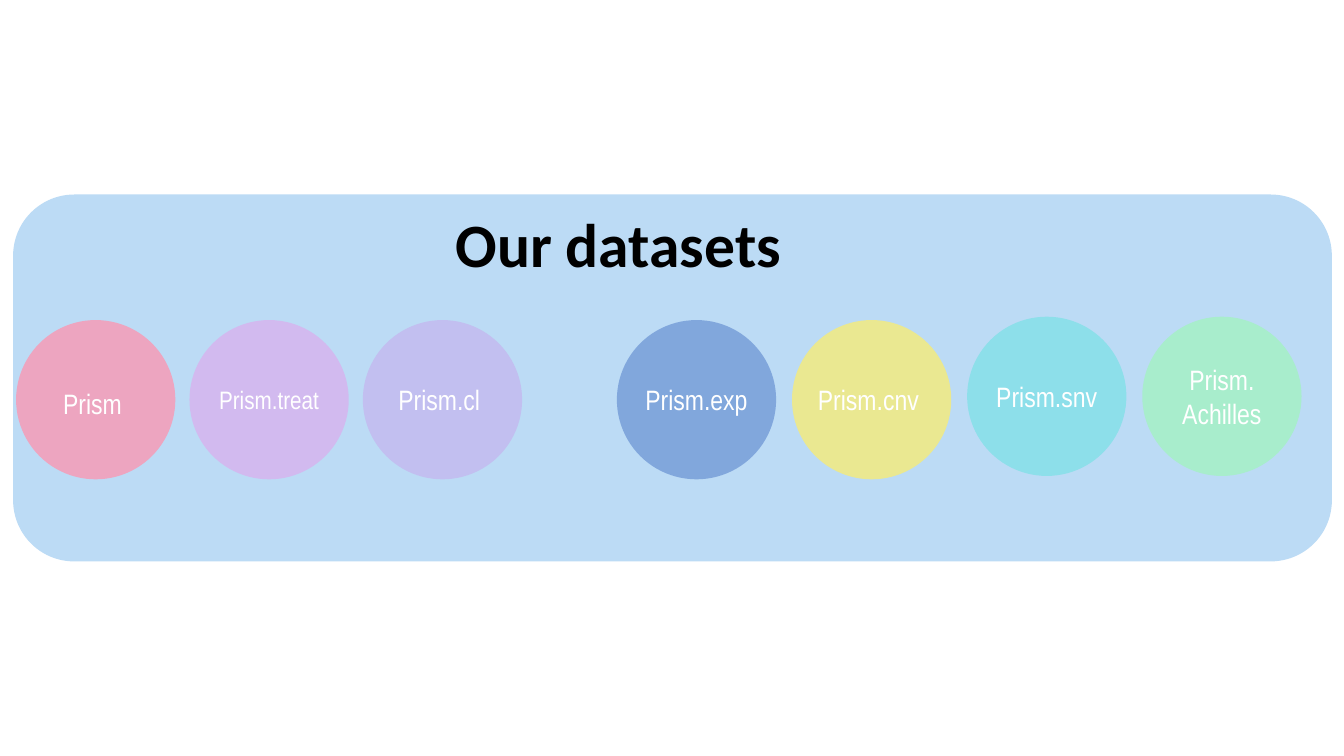
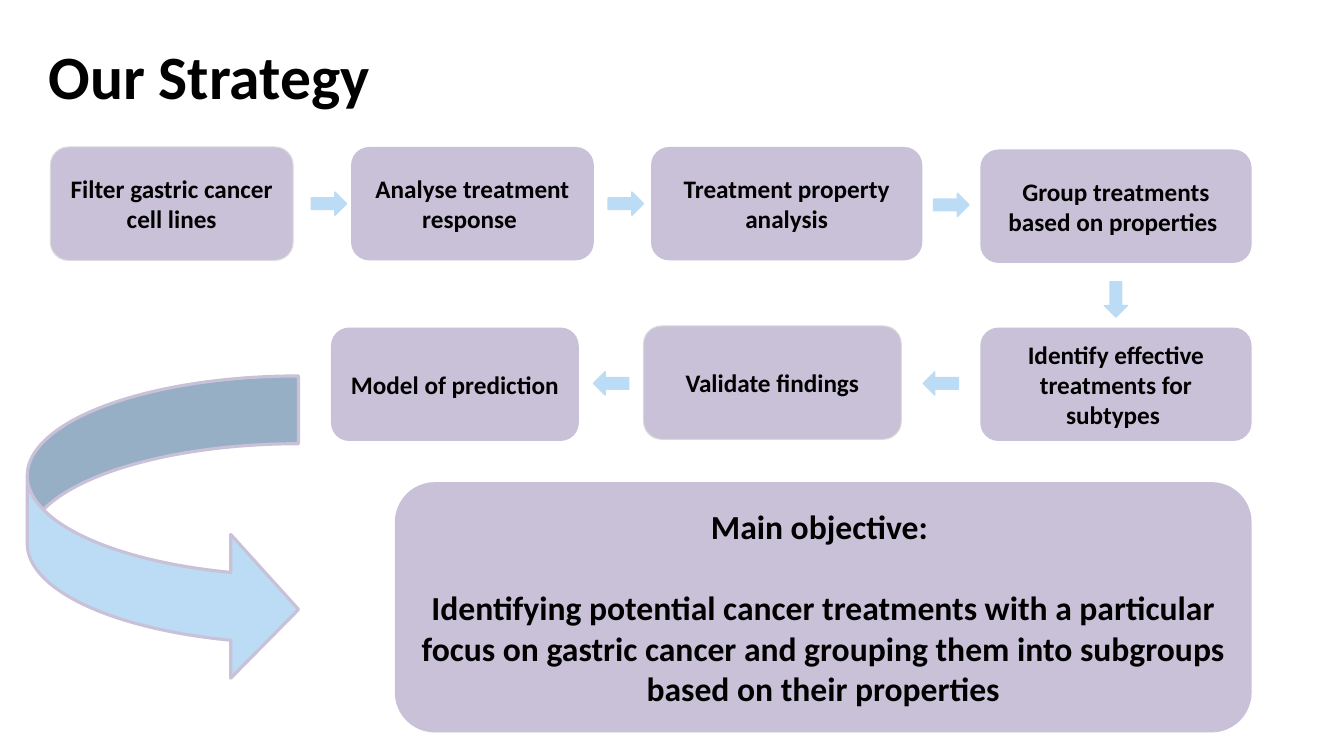
from lxml import etree
from pptx import Presentation
from pptx import util as u
from pptx.dml.color import RGBColor
from pptx.enum import shapes, text
from pptx.oxml.ns import qn

PRESET = shapes.MSO_SHAPE
COLOURS = {
    "ink": "000000", "paper": "FFFFFF", "sky": "BCDBF5", "lilac": "C9C1D7",
    "edge": "DBDBDB", "pink": "EDA5C0", "mauve": "D2BAEF", "periwinkle": "C2BFF0",
    "blue": "4472C4", "yellow": "EAE891", "aqua": "8DDFEA", "mint": "A8EDCC",
}
COLUMNS, ROWS = 160, 90
PADDING = 1.56


class Deck:
    """Holds the style and the current slide, measured on a 160 by 90 grid."""

    def __init__(self):
        self.show = Presentation()
        self.show.slide_width, self.show.slide_height = u.Inches(13.33), u.Inches(7.5)
        self.cell_width = self.show.slide_width / COLUMNS
        self.cell_height = self.show.slide_height / ROWS
        self.slide = None

    def new_slide(self):
        self.slide = self.show.slides.add_slide(self.show.slide_layouts[6])

    def place(self, column, row, width, height):
        return (round(column * self.cell_width), round(row * self.cell_height),
                round(width * self.cell_width), round(height * self.cell_height))

    def colour(self, name):
        return RGBColor.from_string(COLOURS[name])

    def put_text(self, holder, *lines, size=18, font="Calibri", bold=True, colour="ink",
                 align="CENTER", anchor="MIDDLE", padding=PADDING, drop=0, gap=0, spacing=None):
        frame = holder.text_frame
        frame.word_wrap = True
        frame.vertical_anchor = getattr(text.MSO_ANCHOR, anchor)
        frame.margin_left = frame.margin_right = round(padding * self.cell_width)
        frame.margin_bottom = round(padding * self.cell_height)
        frame.margin_top = round((padding + drop) * self.cell_height)
        for index, line in enumerate(lines):
            paragraph = frame.paragraphs[0] if index == 0 else frame.add_paragraph()
            paragraph.alignment = getattr(text.PP_ALIGN, align)
            if spacing:
                paragraph.line_spacing = spacing
            if index and gap:
                paragraph.space_before = u.Pt(gap)
            run = paragraph.add_run()
            run.text = line
            run.font.name, run.font.size, run.font.bold = font, u.Pt(size), bold
            run.font.color.rgb = self.colour(colour)

    def title(self, words, area, align="CENTER"):
        heading = self.slide.shapes.add_textbox(*self.place(*area))
        self.put_text(heading, words, size=44, align=align, anchor="BOTTOM", spacing=0.9)

    def figure(self, preset, area, fill, line=None, weight=1, opacity=None):
        figure = self.slide.shapes.add_shape(preset, *self.place(*area))
        figure.shadow.inherit = False
        figure.fill.solid()
        figure.fill.fore_color.rgb = self.colour(fill)
        if opacity:
            tint = figure.element.spPr.find(qn("a:solidFill"))[0]
            etree.SubElement(tint, qn("a:alpha")).set("val", str(opacity * 1000))
        if line:
            figure.line.color.rgb = self.colour(line)
            figure.line.width = u.Pt(weight)
        else:
            figure.line.fill.background()
        return figure

    def circle(self, words, column, row, fill, size=20, opacity=None, drop=0):
        disc = self.figure(PRESET.OVAL, (column, row, 18.96, 18.96), fill, opacity=opacity)
        self.put_text(disc, words, size=size, font="Arial Narrow", bold=False,
                      colour="paper", padding=0, drop=drop)

    def card(self, area, *lines, line=None, size=18, gap=0):
        card = self.figure(PRESET.ROUNDED_RECTANGLE, area, "lilac", line, 0.75)
        card.adjustments[0] = 0.16
        self.put_text(card, *lines, size=size, gap=gap)

    def arrow(self, preset, column, row, width=4.2, height=2.76):
        area = (column - width / 2, row - height / 2, width, height)
        self.figure(preset, area, "sky", "sky")


def datasets_slide(deck):
    deck.new_slide()
    deck.figure(PRESET.ROUNDED_RECTANGLE, (1.56, 23.16, 157, 43.68), "sky")
    deck.title("Our datasets ", (27.84, 24.48, 93.24, 10.56))
    screens = [
        ("Prism ", 38.1, "pink", {"drop": 0.9}),
        ("Prism.treat", 38.1, "mauve", {"size": 18}),
        ("Prism.cl ", 38.1, "periwinkle", {}),
    ]
    omics = [
        ("Prism.exp", 38.1, "blue", {"opacity": 49}),
        ("Prism.cnv ", 38.1, "yellow", {}),
        ("Prism.snv", 37.7, "aqua", {}),
        ("Prism. Achilles", 37.7, "mint", {}),
    ]
    for start, pitch, group in ((1.92, 20.64, screens), (73.44, 20.85, omics)):
        for index, (name, row, fill, extra) in enumerate(group):
            deck.circle(name, start + index * pitch, row, fill, **extra)


def strategy_slide(deck):
    deck.new_slide()
    deck.title("Our Strategy", (4.2, 7.2, 60, 7.8), align="LEFT")
    steps = [
        ((6, 17.5, 28.9, 13.5), "Filter gastric cancer cell lines", "edge"),
        ((41.8, 17.5, 28.9, 13.5), "Analyse treatment response ", None),
        ((77.5, 17.5, 32.3, 13.5), "Treatment property analysis", None),
        ((116.7, 17.8, 32.3, 13.5), "Group treatments based on properties ", None),
        ((116.7, 39, 32.3, 13.5), "Identify effective treatments for subtypes ", None),
        ((76.6, 38.8, 30.7, 13.5), "Validate findings", "edge"),
        ((39.4, 39, 29.5, 13.5), "Model of prediction", None),
    ]
    for area, words, line in steps:
        deck.card(area, words, line=line)

    nudges = (0.8, 0.4, 0, 0, 0, 0)
    for (before, *_), (after, *_), nudge in zip(steps, steps[1:], nudges):
        if before[0] == after[0]:
            deck.arrow(PRESET.DOWN_ARROW, before[0] + before[2] / 2,
                       (before[1] + before[3] + after[1]) / 2 + 0.5, 2.76, 4.2)
            continue
        left, right = sorted((before, after))
        preset = PRESET.RIGHT_ARROW if left is before else PRESET.LEFT_ARROW
        deck.arrow(preset, (left[0] + left[2] + right[0]) / 2 + nudge,
                   (left[1] + right[1] + left[3]) / 2)

    turn = deck.figure(PRESET.CURVED_RIGHT_ARROW, (3.24, 44.76, 32.3, 36.36),
                       "sky", "lilac", 2.25)
    turn.adjustments[1] = 0.53
    deck.card((47, 57.4, 102, 29.8), "Main objective: ",
              "Identifying potential cancer treatments with a particular focus on gastric "
              "cancer and grouping them into subgroups based on their properties",
              size=24, gap=29)


def main():
    deck = Deck()
    datasets_slide(deck)
    strategy_slide(deck)
    deck.show.save("out.pptx")


if __name__ == "__main__":
    main()
